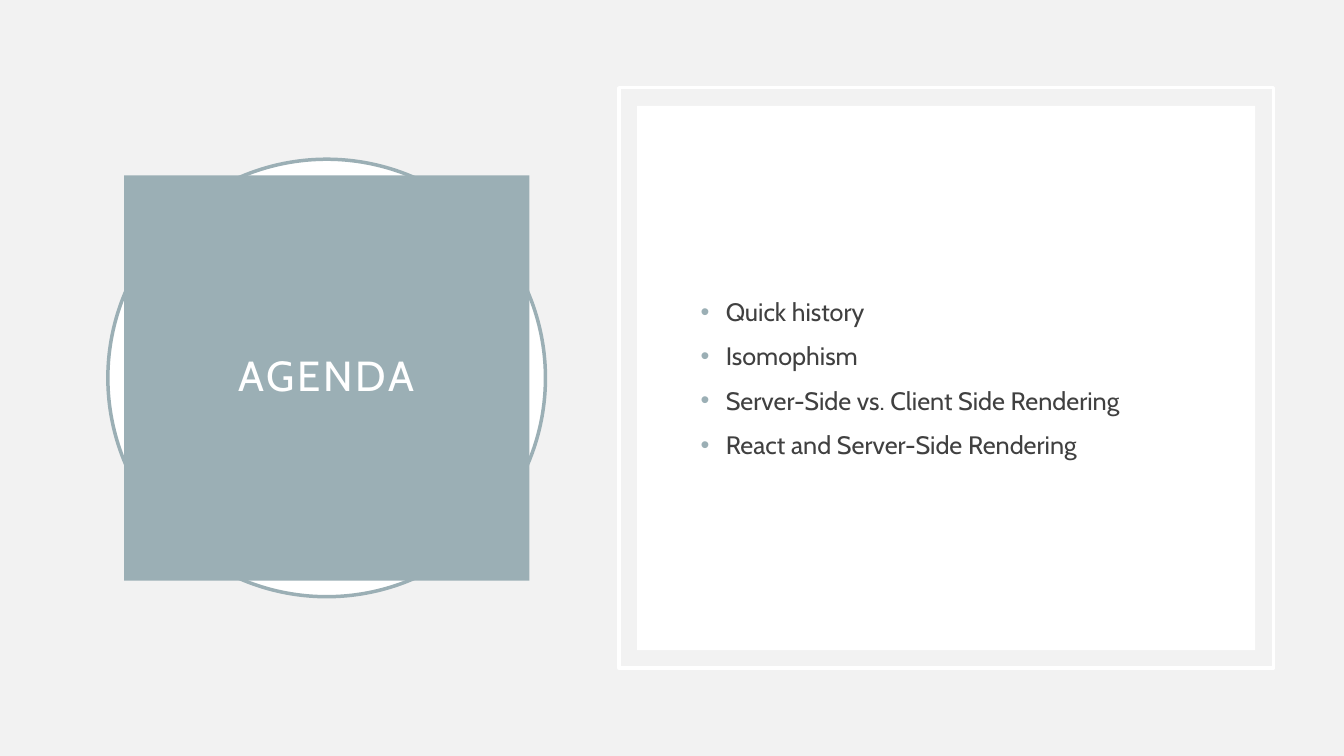
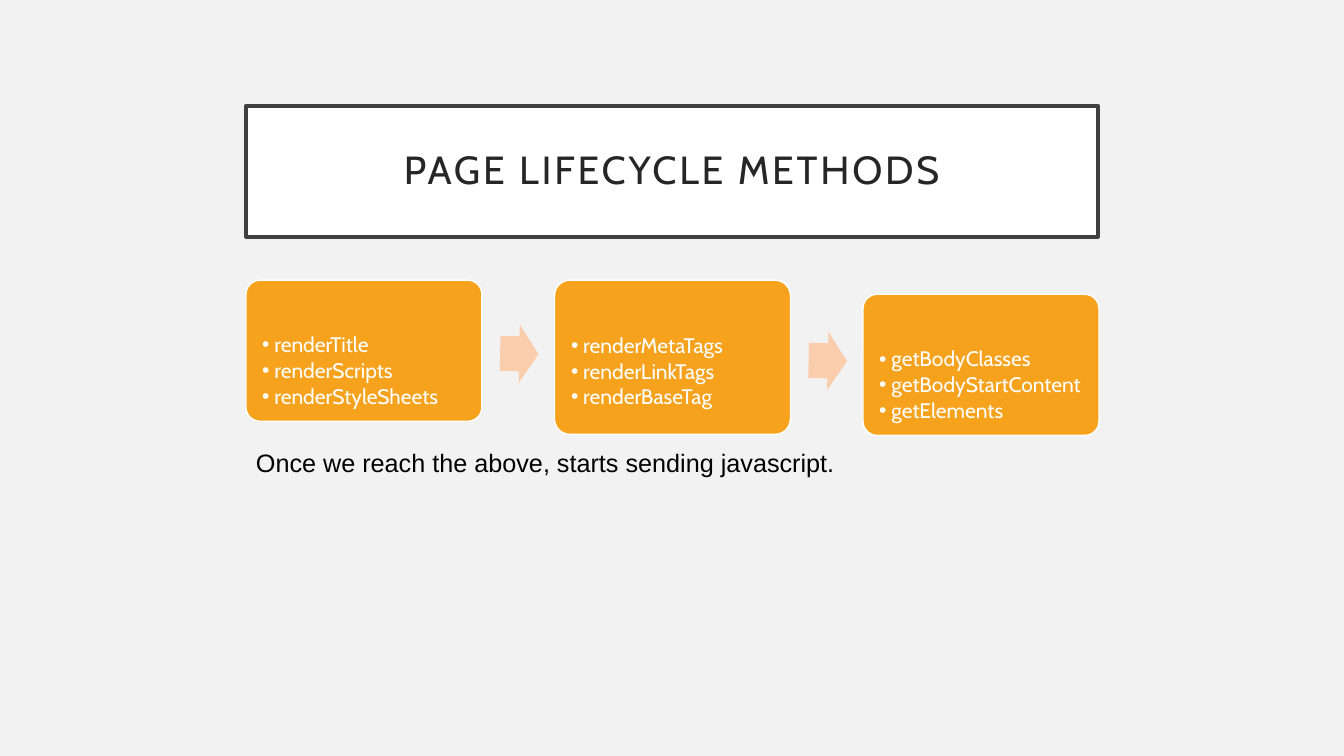
import pptx
import pptx.util
import pptx.dml.color
import pptx.enum.shapes
import pptx.enum.text
import pptx.oxml.ns
import lxml.etree

Inches = pptx.util.Inches
Pt = pptx.util.Pt
KIND = pptx.enum.shapes.MSO_SHAPE
ALIGN = pptx.enum.text.PP_ALIGN
ANCHOR = pptx.enum.text.MSO_ANCHOR

COLORS = {
    "back": "F2F2F2", "white": "FFFFFF", "black": "000000",
    "teal": "9BAFB5", "dark": "404040", "ink": "262626",
    "card": "F6A21D", "arrow": "FACEAC",
}
FONT = "Cabin"
FRAME = 2.5
GAP = 0.18

TOPICS = [
    "Quick history",
    "Isomophism",
    "Server-Side vs. Client Side Rendering",
    "React and Server-Side Rendering",
]
# Each step: offset from the row's top, height, method names
STEPS = [
    (0, 1.4, ["renderTitle", "renderScripts", "renderStyleSheets"]),
    (0, 1.53, ["renderMetaTags", "renderLinkTags", "renderBaseTag"]),
    (0.14, 1.4, ["getBodyClasses", "getBodyStartContent", "getElements"]),
]
# Each arrow: offset from the row's top, turn in degrees
ARROWS = [(0.44, 1.1), (0.51, 1.4)]


def color(name):
    return pptx.dml.color.RGBColor.from_string(COLORS[name])


def add_box(slide, kind, box, fill=None, line=None, width=FRAME):
    shape = slide.shapes.add_shape(kind, *map(Inches, box))
    shape.shadow.inherit = False
    if fill:
        shape.fill.solid()
        shape.fill.fore_color.rgb = color(fill)
    else:
        shape.fill.background()
    if line:
        shape.line.color.rgb = color(line)
        shape.line.width = Pt(width)
    else:
        shape.line.fill.background()
    return shape


def set_frame(shape, anchor, insets):
    """Insets run left, top, right, bottom."""
    frame = shape.text_frame
    frame.word_wrap = True
    frame.vertical_anchor = anchor
    (frame.margin_left, frame.margin_top,
     frame.margin_right, frame.margin_bottom) = map(Inches, insets)
    return frame


def add_run(para, text, size, tint, font=FONT):
    run = para.add_run()
    run.text = text
    run.font.size = Pt(size)
    run.font.name = font
    run.font.color.rgb = color(tint)
    return run


def add_bullet(para, indent, tint):
    props = para._p.get_or_add_pPr()
    props.set("marL", str(Inches(indent)))
    props.set("indent", str(-Inches(indent)))
    qn = pptx.oxml.ns.qn
    paint = lxml.etree.SubElement(props, qn("a:buClr"))
    lxml.etree.SubElement(paint, qn("a:srgbClr"), val=COLORS[tint])
    lxml.etree.SubElement(props, qn("a:buFont"), typeface="Arial")
    lxml.etree.SubElement(props, qn("a:buChar"), char="•")


def add_list(frame, items, size, tint, mark, indent, before=0, after=0, lead=1):
    for index, item in enumerate(items):
        para = frame.add_paragraph() if index else frame.paragraphs[0]
        para.alignment = ALIGN.LEFT
        para.line_spacing = lead
        para.space_before = Pt(before)
        para.space_after = Pt(after)
        add_bullet(para, indent, mark)
        add_run(para, item, size, tint)


def add_title(slide, box, text, size, tint, fill, line=None):
    shape = add_box(slide, KIND.RECTANGLE, box, fill, line)
    para = set_frame(shape, ANCHOR.MIDDLE, [0.2] * 4).paragraphs[0]
    para.alignment = ALIGN.CENTER
    para.line_spacing = 0.9
    run = add_run(para, text, size, tint)
    run.font._element.set("spc", "200")


def inset(box, gap):
    left, top, width, height = box
    return left + gap, top + gap, width - 2 * gap, height - 2 * gap


def add_badge(slide, box, text):
    """Square title over a ring that reaches past its sides."""
    add_box(slide, KIND.OVAL, box, "white", "teal")
    add_title(slide, inset(box, 0.16), text, 30, "white", "teal")


def add_panel(slide, box, items):
    """White panel with an outer frame and a bulleted list."""
    left, top, width, height = box
    add_box(slide, KIND.RECTANGLE, box, line="white")
    add_box(slide, KIND.RECTANGLE, inset(box, GAP), "white")
    area = slide.shapes.add_textbox(
        Inches(left + 0.71), Inches(top + 0.71),
        Inches(width - 1.4), Inches(height - 1.42))
    frame = set_frame(area, ANCHOR.MIDDLE, (0.1, 0.05, 0.1, 0.05))
    add_list(frame, items, 18, "dark", "teal", 0.25, before=10)


def add_card(slide, box, items):
    card = add_box(slide, KIND.ROUNDED_RECTANGLE, box, "card", "white", 1)
    card.adjustments[0] = 0.1
    frame = set_frame(card, ANCHOR.TOP, (0.12, 0.5, 0.12, 0.08))
    add_list(frame, items, 15, "white", "white", 0.12, after=2.25, lead=0.9)


def add_flow(slide, left, top):
    """Row of cards with an arrow in each gap."""
    width, pitch = 2.34, 3.06
    for index, (drop, height, items) in enumerate(STEPS):
        add_card(slide, (left + index * pitch, top + drop, width, height), items)
    for index, (drop, turn) in enumerate(ARROWS):
        start = left + index * pitch + width + GAP
        arrow = add_box(slide, KIND.RIGHT_ARROW,
                        (start, top + drop, 0.38, 0.58), "arrow")
        arrow.adjustments[0] = 0.6
        arrow.adjustments[1] = 0.5
        arrow.rotation = turn


def add_note(slide, box, text):
    note = slide.shapes.add_textbox(*map(Inches, box))
    frame = set_frame(note, ANCHOR.MIDDLE, (0.1, 0.05, 0.1, 0.05))
    add_run(frame.paragraphs[0], text, 18, "black", "Arial")


def build_agenda(slide):
    add_badge(slide, (1.07, 1.58, 4.34, 4.34), "AGENDA")
    add_panel(slide, (6.14, 0.87, 6.49, 5.76), TOPICS)


def build_methods(slide):
    left, width = 2.44, 8.45
    add_title(slide, (left, 1.05, width, 1.3), "PAGE LIFECYCLE METHODS",
              28, "ink", "white", "dark")
    add_flow(slide, left, 2.78)
    add_note(slide, (left, 4.38, width, 0.41),
             "Once we reach the above, starts sending javascript.")


def main():
    deck = pptx.Presentation()
    deck.slide_width = Inches(13.33)
    deck.slide_height = Inches(7.5)
    back = deck.slide_master.background.fill
    back.solid()
    back.fore_color.rgb = color("back")
    for build in (build_agenda, build_methods):
        build(deck.slides.add_slide(deck.slide_layouts[6]))
    deck.save("out.pptx")


if __name__ == "__main__":
    main()
